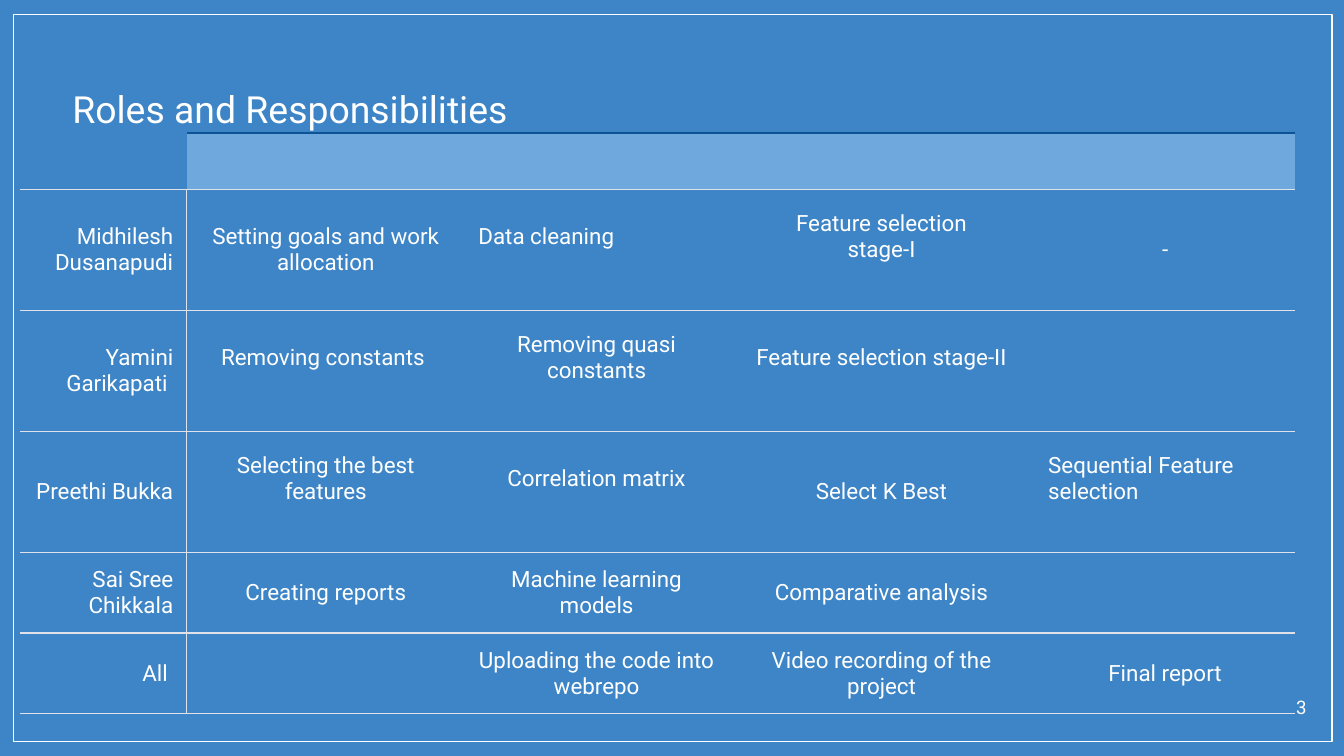
from lxml import etree
from pptx import Presentation
from pptx.dml.color import RGBColor
from pptx.enum.shapes import MSO_SHAPE
from pptx.enum.text import MSO_ANCHOR, PP_ALIGN
from pptx.oxml.ns import qn
from pptx.util import Inches, Pt

LEFT, CENTER, RIGHT = PP_ALIGN.LEFT, PP_ALIGN.CENTER, PP_ALIGN.RIGHT
MIDDLE = MSO_ANCHOR.MIDDLE
RECTANGLE = MSO_SHAPE.RECTANGLE

WIDTH = 10
HEIGHT = WIDTH * 9 / 16
FONT = "Roboto"
INSET = 0.1
COLORS = {
    "background": "3D85C6",
    "text": "FFFFFF",
    "header": "6FA8DC",
    "header_edge": "0B5394",
    "rule": "DFE3E9",
}

COLUMN_WIDTHS = [1.24, 2.07, 1.96, 2.28, 1.94]
ROW_HEIGHTS = [0.42, 0.9, 0.9, 0.9, 0.59, 0.59]
ROLES = [
    ["", "", "", "", ""],
    ["Midhilesh Dusanapudi", "Setting goals and work allocation",
     "Data cleaning", "Feature selection\nstage-I", "-"],
    ["Yamini Garikapati ", "Removing constants ",
     "Removing quasi constants", "Feature selection stage-II", ""],
    ["Preethi Bukka", "Selecting the best features",
     "Correlation matrix", "Select K Best", "Sequential Feature selection"],
    ["Sai Sree Chikkala", "Creating reports",
     "Machine learning models", "Comparative analysis", ""],
    ["All ", "", "Uploading the code into webrepo",
     "Video recording of the project", "Final report"],
]
LEFT_ALIGNED = {(1, 2), (3, 4)}
# Cells whose text sits half a line above the middle
RAISED = {(1, 2), (1, 3), (2, 1), (2, 2), (2, 3), (3, 1), (3, 2), (3, 4)}
RAISED_INSET = 0.3


def color(name):
    return RGBColor.from_string(COLORS[name])


def write(frame, text, size, align):
    frame.text = text
    for para in frame.paragraphs:
        para.alignment = align
        for span in para.runs:
            span.font.name = FONT
            span.font.size = Pt(size)
            span.font.color.rgb = color("text")


def add_label(page, box, text, size, align):
    frame = page.shapes.add_textbox(*map(Inches, box)).text_frame
    frame.word_wrap = True
    frame.margin_left = frame.margin_right = Inches(INSET)
    frame.margin_top = frame.margin_bottom = Inches(INSET)
    write(frame, text, size, align)


def add_frame(page, box):
    frame = page.shapes.add_shape(RECTANGLE, *map(Inches, box))
    frame.shadow.inherit = False
    frame.fill.background()
    frame.line.color.rgb = color("text")
    frame.line.width = Pt(0.75)


def set_borders(cell, edges):
    """Draw the named edges and clear the others; call before the fill."""
    properties = cell._tc.get_or_add_tcPr()
    for side in ("lnL", "lnR", "lnT", "lnB"):
        line = etree.SubElement(properties, qn("a:" + side), w=str(Pt(0.75)))
        if side in edges:
            fill = etree.SubElement(line, qn("a:solidFill"))
            etree.SubElement(fill, qn("a:srgbClr"), val=COLORS[edges[side]])
        else:
            etree.SubElement(line, qn("a:noFill"))


def cell_edges(row, column):
    edges = {"lnB": "rule"}
    if row > 0:
        edges["lnT"] = "rule"
    elif column > 0:
        edges["lnT"] = "header_edge"
    if column < 2:
        side = "lnR" if column == 0 else "lnL"
        edges[side] = "rule" if row > 0 else "background"
    return edges


def add_roles_table(page, box):
    table = page.shapes.add_table(
        len(ROLES), len(COLUMN_WIDTHS), *map(Inches, box)).table
    table.first_row = table.horz_banding = False
    for column, width in zip(table.columns, COLUMN_WIDTHS):
        column.width = Inches(width)
    for row, height in zip(table.rows, ROW_HEIGHTS):
        row.height = Inches(height)

    for row, texts in enumerate(ROLES):
        for column, text in enumerate(texts):
            cell = table.cell(row, column)
            set_borders(cell, cell_edges(row, column))
            if row == 0 and column > 0:
                cell.fill.solid()
                cell.fill.fore_color.rgb = color("header")
            else:
                cell.fill.background()
            if not text:
                continue
            raised = (row, column) in RAISED
            cell.vertical_anchor = MIDDLE
            cell.margin_left = cell.margin_right = Inches(INSET)
            cell.margin_top = Inches(INSET)
            cell.margin_bottom = Inches(RAISED_INSET if raised else INSET)
            align = RIGHT if column == 0 else CENTER
            if (row, column) in LEFT_ALIGNED:
                align = LEFT
            write(cell.text_frame, text, 12, align)


def build_roles_slide(deck):
    page = deck.slides.add_slide(deck.slide_layouts[6])
    page.background.fill.solid()
    page.background.fill.fore_color.rgb = color("background")
    # Border and title
    add_frame(page, (0.1, 0.11, 9.81, 5.41))
    add_label(page, (0.44, 0.54, 9, 0.45), "Roles and Responsibilities", 20, LEFT)
    # Page number
    add_label(page, (9.32, 5.09, 0.5, 0.32), "3", 10, RIGHT)
    # Roles by person
    add_roles_table(page, (0.15, 0.99, sum(COLUMN_WIDTHS), sum(ROW_HEIGHTS)))


def main():
    deck = Presentation()
    deck.slide_width, deck.slide_height = Inches(WIDTH), Inches(HEIGHT)
    build_roles_slide(deck)
    deck.save("out.pptx")


if __name__ == "__main__":
    main()
